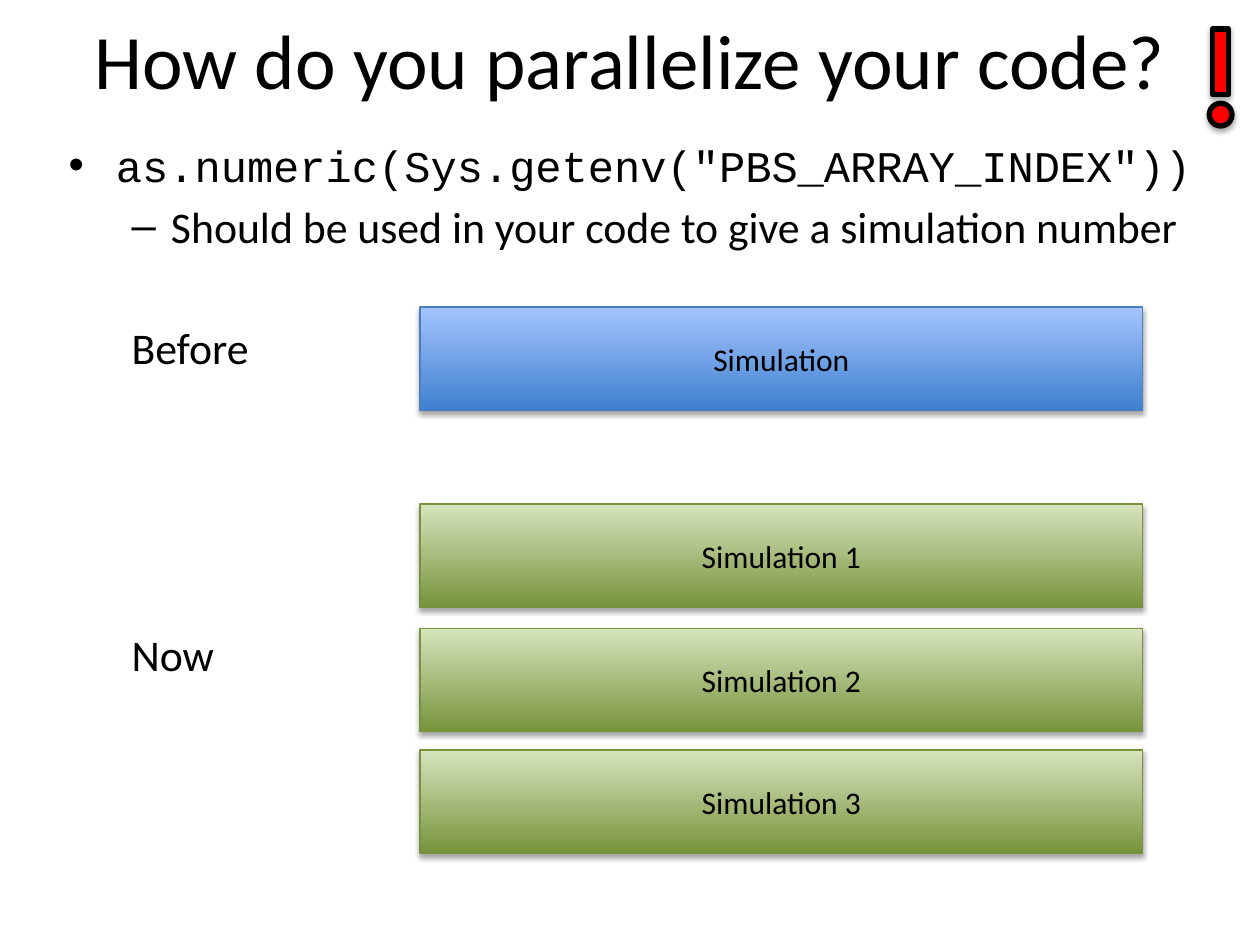
from lxml import etree
from pptx import Presentation
from pptx import util as u
from pptx.dml.color import RGBColor
from pptx.enum import shapes, text
from pptx.oxml.ns import qn

Pt = u.Pt
BLACK = RGBColor(0x00, 0x00, 0x00)
RED = RGBColor(0xFF, 0x00, 0x00)
BLUE_DARK = RGBColor(0x3F, 0x80, 0xCE)
BLUE_LIGHT = RGBColor(0xA4, 0xC4, 0xFF)
BLUE_EDGE = RGBColor(0x4B, 0x7E, 0xBC)
GREEN_DARK = RGBColor(0x77, 0x93, 0x3C)
GREEN_LIGHT = RGBColor(0xD7, 0xE4, 0xBD)
BLUE = (BLUE_DARK, BLUE_LIGHT, BLUE_EDGE)
GREEN = (GREEN_DARK, GREEN_LIGHT, GREEN_DARK)

SIMULATIONS = [
    ("Simulation", 175.5, BLUE),
    ("Simulation 1", 288, GREEN),
    ("Simulation 2", 359, GREEN),
    ("Simulation 3", 428.5, GREEN),
]
POINTS = [
    ('as.numeric(Sys.getenv("PBS_ARRAY_INDEX"))', 0, "Courier New", None),
    ("Should be used in your code to give a simulation number", 1, "Calibri", None),
    ("Before", 1, "Calibri", 39.5),
    ("Now", 1, "Calibri", 145),
]


def apply(target, values):
    """Set every attribute named in values on target."""
    for name, value in values.items():
        setattr(target, name, value)


def place(item, left, top, width, height):
    """Position an item, in points."""
    apply(item, {"left": Pt(left), "top": Pt(top), "width": Pt(width), "height": Pt(height)})


def write(paragraph, words, size, face="Calibri"):
    """Add black words to a paragraph."""
    run = paragraph.add_run()
    run.text = words
    apply(run.font, {"size": Pt(size), "name": face})
    run.font.color.rgb = BLACK


def cast_shadow(shape):
    """Give a shape a soft shadow straight below it."""
    shape.shadow.inherit = False
    effects = shape._element.spPr.find(qn("a:effectLst"))
    shadow = etree.SubElement(effects, qn("a:outerShdw"), blurRad=str(Pt(3.1)),
                              dist=str(Pt(1.8)), dir="5400000", rotWithShape="0")
    shade = etree.SubElement(shadow, qn("a:srgbClr"), val=str(BLACK))
    etree.SubElement(shade, qn("a:alpha"), val="35000")


def add_outlined(parent, kind, bounds, edge, weight):
    """Add a shadowed preset shape with an outline."""
    shape = parent.add_shape(kind, *map(Pt, bounds))
    cast_shadow(shape)
    shape.line.color.rgb = edge
    shape.line.width = Pt(weight)
    return shape


def add_simulation(slide, label, top, palette):
    """Add a labelled bar that lightens towards its top."""
    dark, light, edge = palette
    bar = add_outlined(slide.shapes, shapes.MSO_SHAPE.RECTANGLE, (240, top, 413, 59), edge, 0.75)
    bar.fill.gradient()
    bar.fill.gradient_angle = 90
    for stop, colour, position in zip(bar.fill.gradient_stops, (dark, light), (0, 1)):
        stop.color.rgb = colour
        stop.position = position
    bar.text_frame.vertical_anchor = text.MSO_ANCHOR.MIDDLE
    label_line = bar.text_frame.paragraphs[0]
    label_line.alignment = text.PP_ALIGN.CENTER
    write(label_line, label, 18)


def add_exclamation(slide):
    """Add the red exclamation mark as a group."""
    mark = slide.shapes.add_group_shape()
    for kind, bounds in ((shapes.MSO_SHAPE.OVAL, (691, 59, 13, 13)),
                         (shapes.MSO_SHAPE.RECTANGLE, (693, 16.5, 9, 37.5))):
        part = add_outlined(mark.shapes, kind, bounds, BLACK, 3)
        part.fill.solid()
        part.fill.fore_color.rgb = RED


def fill_title(title):
    """Place and write the title."""
    place(title, 0, -11.5, 720, 90)
    write(title.text_frame.paragraphs[0], "How do you parallelize your code?", 44)


def fill_body(body):
    """Write the bullets, then the row headings without bullets."""
    place(body, 32, 75.5, 688, 464.5)
    frame = body.text_frame
    frame.auto_size = text.MSO_AUTO_SIZE.NONE
    for index, (words, level, face, gap) in enumerate(POINTS):
        paragraph = frame.add_paragraph() if index else frame.paragraphs[0]
        paragraph.level = level
        write(paragraph, words, 25, face)
        if gap:
            paragraph.space_before = Pt(gap)
            properties = paragraph._p.get_or_add_pPr()
            properties.set("marL", str(Pt(36)))
            properties.set("indent", "0")
            etree.SubElement(properties, qn("a:buNone"))


def main():
    """Build and save the slide."""
    deck = Presentation()
    apply(deck, {"slide_width": Pt(720), "slide_height": Pt(540)})
    slide = deck.slides.add_slide(deck.slide_layouts[1])
    fill_title(slide.shapes.title)
    fill_body(slide.placeholders[1])
    for label, top, palette in SIMULATIONS:
        add_simulation(slide, label, top, palette)
    add_exclamation(slide)
    deck.save("out.pptx")


if __name__ == "__main__":
    main()
